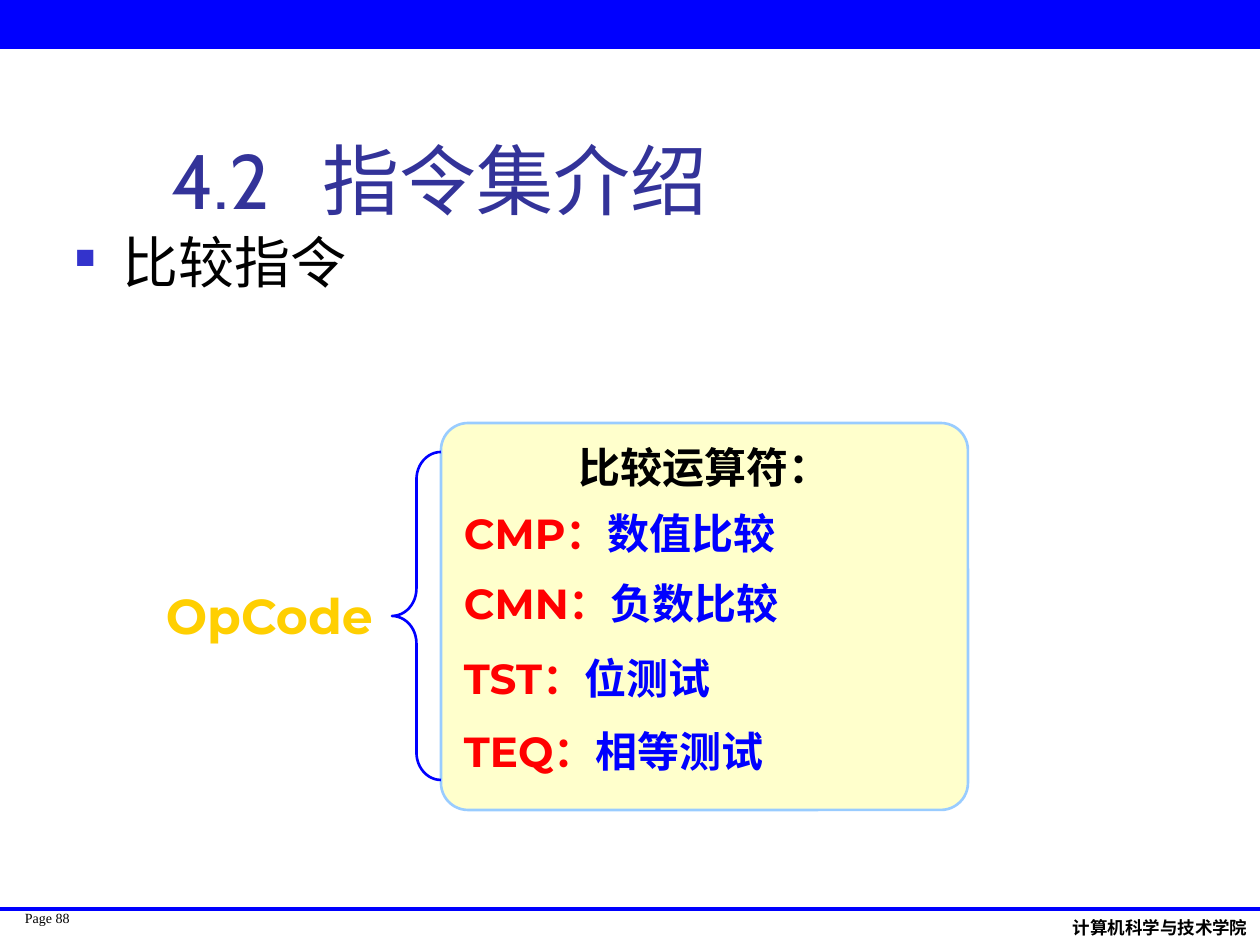
from lxml import etree
from pptx import Presentation
from pptx.dml.color import RGBColor
from pptx.enum.shapes import MSO_CONNECTOR, MSO_SHAPE
from pptx.enum.text import MSO_ANCHOR, PP_ALIGN
from pptx.oxml.ns import qn
from pptx.util import Emu, Pt

SCALE = 914400 / 126
RECT, ROUND, BRACE = MSO_SHAPE.RECTANGLE, MSO_SHAPE.ROUNDED_RECTANGLE, MSO_SHAPE.LEFT_BRACE
STRAIGHT = MSO_CONNECTOR.STRAIGHT
TOP, MIDDLE, BOTTOM = MSO_ANCHOR.TOP, MSO_ANCHOR.MIDDLE, MSO_ANCHOR.BOTTOM
CENTER = PP_ALIGN.CENTER

COLORS = {
    "blue": "0000FF", "title": "333399", "bullet": "3333CC", "black": "000000",
    "gold": "FFCF01", "cream": "FFFFCC", "sky": "99CCFF", "red": "FF0000",
}
CABIN, MONT, TIMES = "Cabin", "Montserrat", "Times New Roman"
PAD = (13, 6, 13, 6)

CODES = [
    (503, "CMP：", "数值比较"),
    (573, "CMN：", "负数比较"),
    (648, "TST：", "位测试"),
    (721, "TEQ：", "相等测试"),
]


def px(n):
    return Emu(round(n * SCALE))


def rgb(name):
    return RGBColor.from_string(COLORS[name])


class Deck:
    def __init__(self, wide, high):
        self.prs = Presentation()
        self.prs.slide_width, self.prs.slide_height = px(wide), px(high)
        self.slide = self.prs.slides.add_slide(self.prs.slide_layouts[6])

    def style(self, font, face, size, color, bold=False):
        font.name, font.size, font.bold = face, Pt(size), bold
        font.color.rgb = rgb(color)

    def frame(self, shape, anchor=TOP, pad=PAD, wrap=True):
        box = shape.text_frame
        box.word_wrap, box.vertical_anchor = wrap, anchor
        box.margin_left, box.margin_top, box.margin_right, box.margin_bottom = map(px, pad)
        return box.paragraphs[0]

    def text(self, at, words, look, anchor=TOP, pad=PAD, bullet=None, tab=None):
        box = self.slide.shapes.add_textbox(*map(px, at))
        para = self.frame(box, anchor, pad)
        para.text = words
        if bullet:
            self.bullet(para, *bullet)
        if tab:
            self.tab(para, tab)
        self.style(para.font, *look)

    def bullet(self, para, sign, color, size, indent):
        props = para._p.get_or_add_pPr()
        props.set("marL", str(px(indent)))
        props.set("indent", str(-px(indent)))
        tint = etree.SubElement(props, qn("a:buClr"))
        etree.SubElement(tint, qn("a:srgbClr"), val=COLORS[color])
        etree.SubElement(props, qn("a:buSzPct"), val=str(size * 1000))
        etree.SubElement(props, qn("a:buChar"), char=sign)

    def tab(self, para, pos):
        stops = etree.SubElement(para._p.get_or_add_pPr(), qn("a:tabLst"))
        etree.SubElement(stops, qn("a:tab"), pos=str(px(pos)), algn="l")

    def pair(self, at, parts):
        """One line whose runs each have their own look."""
        box = self.slide.shapes.add_textbox(*map(px, at))
        para = self.frame(box, MIDDLE, wrap=False)
        for words, look in parts:
            run = para.add_run()
            run.text = words
            self.style(run.font, *look)

    def shape(self, kind, at, fill=None, line=None, adj=()):
        shape = self.slide.shapes.add_shape(kind, *map(px, at))
        shape.shadow.inherit = False
        for i, val in enumerate(adj):
            shape.adjustments[i] = val
        if fill:
            shape.fill.solid()
            shape.fill.fore_color.rgb = rgb(fill)
        else:
            shape.fill.background()
        if line:
            shape.line.color.rgb, shape.line.width = rgb(line), Pt(1.5)
        else:
            shape.line.fill.background()
        return shape

    def panel(self, at, words, look):
        """Rounded box with a centred heading at its top."""
        shape = self.shape(ROUND, at, "cream", "sky", [0.07])
        para = self.frame(shape, pad=(13, 11, 13, 6), wrap=False)
        para.text, para.alignment = words, CENTER
        self.style(para.font, *look)

    def rule(self, x1, y1, x2, y2, color, width):
        line = self.slide.shapes.add_connector(STRAIGHT, *map(px, (x1, y1, x2, y2)))
        line.line.color.rgb, line.line.width = rgb(color), Pt(width)
        etree.SubElement(line._element.spPr, qn("a:effectLst"))


def main():
    deck = Deck(1260, 945)
    deck.text((25, 910, 64, 34), "Page 88", (TIMES, 8, "black"), pad=(0, 0, 0, 0))
    deck.text((1060, 911, 200, 34), "计算机科学与技术学院", (CABIN, 10, "black", True),
              pad=(13, 6, 0, 6))
    deck.shape(RECT, (0, 0, 1260, 49), "blue")
    deck.rule(0, 909, 1260, 909, "blue", 2.25)

    deck.text((159, 29, 1074, 202), "4.2\t指令集介绍", (CABIN, 44, "title"), BOTTOM, tab=151)
    deck.text((62, 222, 1134, 105), "比较指令", (CABIN, 32, "black"),
              bullet=("■", "bullet", 50, 48))

    deck.text((153, 579, 297, 72), "OpCode", (MONT, 28, "gold", True))
    deck.panel((441, 423, 527, 387), "比较运算符：", (TIMES, 24, "black", True))
    for top, code, sense in CODES:
        deck.pair((451, top, 517, 60), [(code, (MONT, 24, "red", True)),
                                        (sense, (TIMES, 24, "blue", True))])
    deck.shape(BRACE, (392, 452, 49, 328), line="blue", adj=[0.56, 0.5])
    deck.prs.save("out.pptx")


if __name__ == "__main__":
    main()
